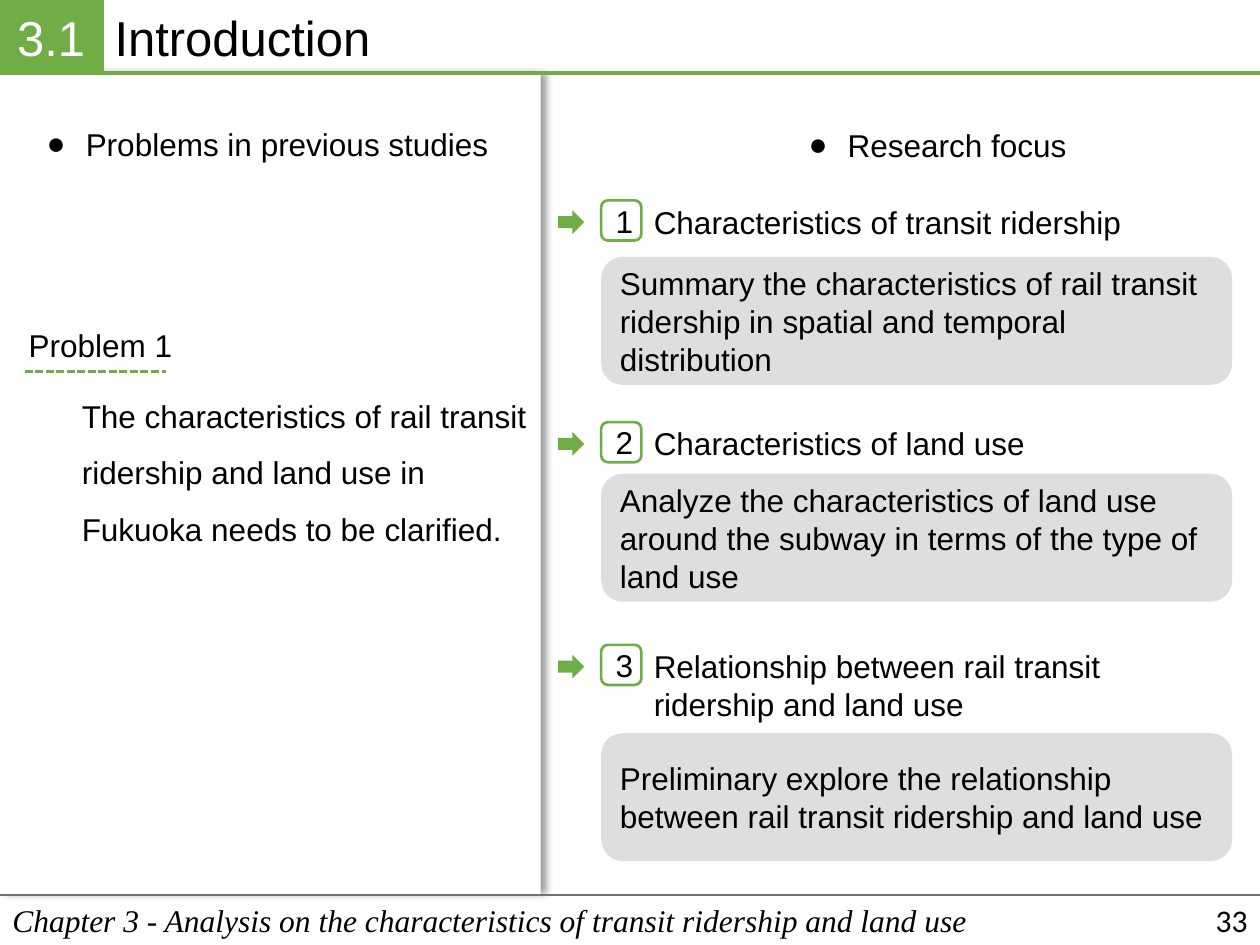
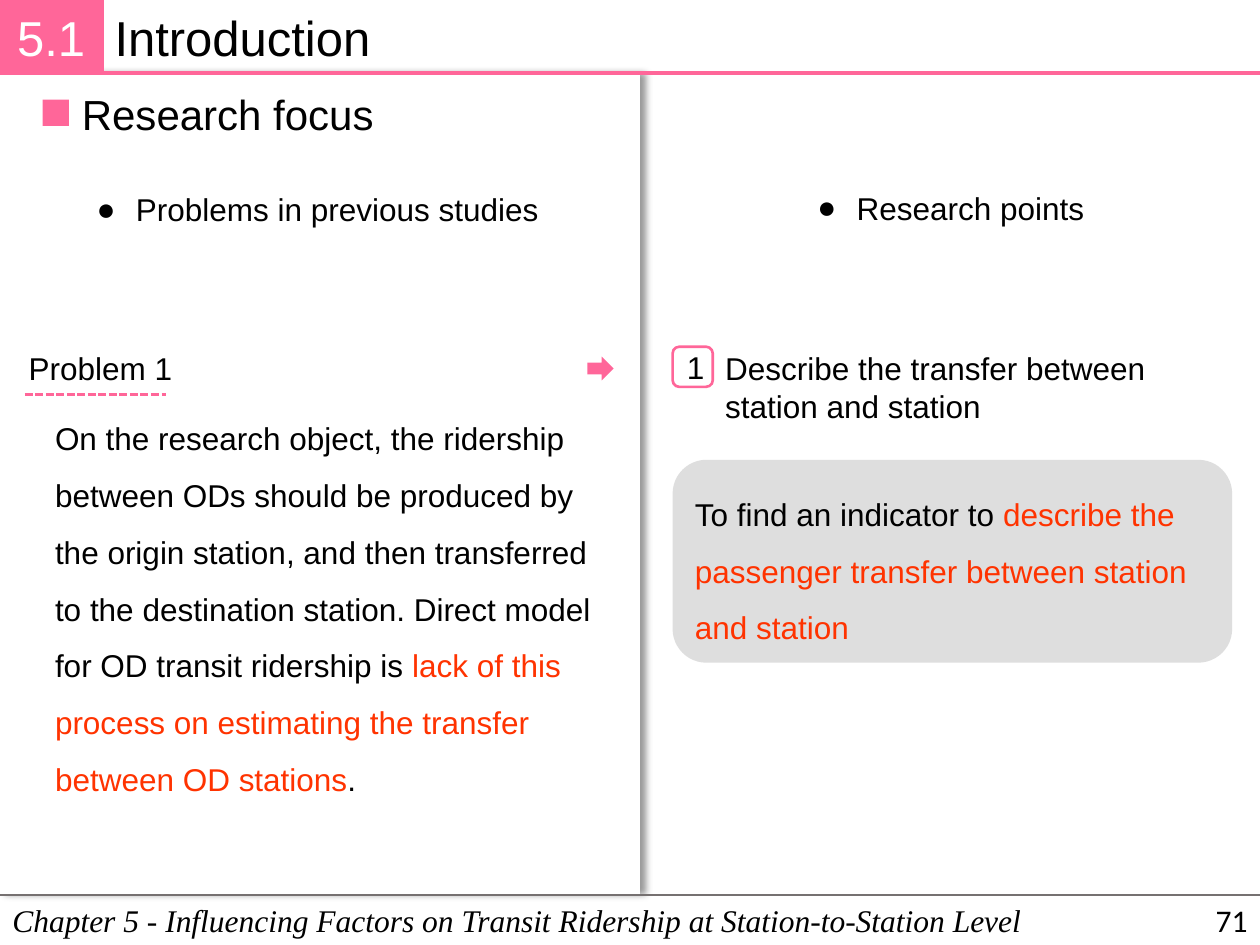
from lxml import etree
from pptx import Presentation
from pptx.dml.color import RGBColor
from pptx.enum.dml import MSO_LINE
from pptx.enum.shapes import MSO_CONNECTOR, MSO_SHAPE
from pptx.enum.text import MSO_ANCHOR, PP_ALIGN
from pptx.oxml.ns import qn
from pptx.util import Cm, Pt

RECT, ROUND, ARROW = MSO_SHAPE.RECTANGLE, MSO_SHAPE.ROUNDED_RECTANGLE, MSO_SHAPE.RIGHT_ARROW
TOP, MIDDLE = MSO_ANCHOR.TOP, MSO_ANCHOR.MIDDLE
LEFT, CENTER, RIGHT = PP_ALIGN.LEFT, PP_ALIGN.CENTER, PP_ALIGN.RIGHT
SYS_DASH = MSO_LINE.SQUARE_DOT

# Content: runs are (text, colour name); places are in cm
SLIDES = [
    {
        "accent": "green", "number": "3.1", "title": "Introduction", "page": "33",
        "footer": "Chapter 3 - Analysis on the characteristics of transit ridership and land use",
        "panel_w": 10.9,
        "section": None,
        "headings": [("Problems in previous studies", 0.69, 2.39, 9.5),
                     ("Research focus", 16.05, 2.41, 5.77)],
        "problem": {
            "label": "Problem 1", "y": 6.45, "body_x": 1.4, "body_w": 9.5, "body_h": 3.58,
            "runs": [("The characteristics of rail transit ridership and land use in "
                      "Fukuoka needs to be clarified.", "black")],
        },
        "arrow_x": 11.25, "item_x": 12.12, "box_h": 2.58, "box_spacing": 1.0,
        "items": [
            {"y": 4.04, "box_y": 5.18, "label": "Characteristics of transit ridership",
             "runs": [("Summary the characteristics of rail transit ridership in spatial "
                       "and temporal distribution", "black")]},
            {"y": 8.51, "box_y": 9.55, "label": "Characteristics of land use",
             "runs": [("Analyze the characteristics of land use around the subway in terms "
                       "of the type of land use", "black")]},
            {"y": 13.0, "box_y": 14.78,
             "label": "Relationship between rail transit ridership and land use",
             "runs": [("Preliminary explore the relationship between rail transit ridership "
                       "and land use", "black")]},
        ],
    },
    {
        "accent": "pink", "number": "5.1", "title": "Introduction", "page": "71",
        "footer": "Chapter 5 - Influencing Factors on Transit Ridership at Station-to-Station Level",
        "panel_w": 12.9,
        "section": "Research focus",
        "headings": [("Problems in previous studies", 1.7, 3.71, 9.5),
                     ("Research points", 16.23, 3.68, 5.94)],
        "problem": {
            "label": "Problem 1", "y": 6.91, "body_x": 0.86, "body_w": 11.84, "body_h": 8.2,
            "runs": [("On the research object, the ridership between ODs should be produced by "
                      "the origin station, and then transferred to the destination station. "
                      "Direct model for OD transit ridership is ", "black"),
                     ("lack of this process on estimating the transfer between OD stations",
                      "red"),
                     (".", "black")],
        },
        "arrow_x": 11.84, "item_x": 13.56, "box_h": 4.09, "box_spacing": 1.5,
        "items": [
            {"y": 6.99, "box_y": 9.27,
             "label": "Describe the transfer between station and station",
             "runs": [("To find an indicator to ", "black"),
                      ("describe the passenger transfer between station and station", "red")]},
        ],
    },
]

# Shared look
COLORS = {"green": "70AD47", "pink": "FF6699", "red": "FF3300", "black": "000000",
          "white": "FFFFFF", "gray": "7F7F7F", "rule": "767171"}
BODY = {"name": "Arial", "size": Pt(18)}
SECTION = {"name": "Arial", "size": Pt(24)}
TITLE = {"name": "Arial", "size": Pt(28)}
FOOTER = {"name": "Times New Roman", "size": Pt(18), "italic": True}
PAGE = {"name": "Calibri", "size": Pt(18)}

SLIDE_W, SLIDE_H = 25.4, 19.05
TAG_W, HEAD_H = 2.06, 1.48
FOOT_Y = 18.04
LINE_H = 1.01
BADGE = 0.81
BOX_RIGHT = 24.84
LABEL_W = 10.6
INDENT = 0.79


def rgb(name):
    return RGBColor.from_string(COLORS[name])


def write(sp, runs, font, anchor=TOP, align=LEFT, spacing=None, wrap=True, bullet=False):
    tf = sp.text_frame
    tf.word_wrap = wrap
    tf.vertical_anchor = anchor
    p = tf.paragraphs[0]
    p.alignment = align
    if spacing:
        p.line_spacing = spacing
    if bullet:
        pPr = p._p.get_or_add_pPr()
        pPr.set("marL", str(Cm(INDENT)))
        pPr.set("indent", str(-Cm(INDENT)))
        etree.SubElement(pPr, qn("a:buFont")).set("typeface", "Arial")
        etree.SubElement(pPr, qn("a:buChar")).set("char", "●")
    for text, color in runs:
        r = p.add_run()
        r.text = text
        for key, value in font.items():
            setattr(r.font, key, value)
        r.font.color.rgb = rgb(color)


def add_text(s, text, x, y, w, h, font=BODY, **fmt):
    runs = [(text, "black")] if isinstance(text, str) else text
    write(s.shapes.add_textbox(Cm(x), Cm(y), Cm(w), Cm(h)), runs, font, **fmt)


def add_box(s, kind, x, y, w, h, fill=None, line=None, width=1.5):
    sp = s.shapes.add_shape(kind, Cm(x), Cm(y), Cm(w), Cm(h))
    sp.shadow.inherit = False
    if fill:
        sp.fill.solid()
        sp.fill.fore_color.rgb = rgb(fill)
    else:
        sp.fill.background()
    if line:
        sp.line.color.rgb = rgb(line)
        sp.line.width = Pt(width)
    else:
        sp.line.fill.background()
    return sp


def add_rule(s, x1, x2, y, color, width, dash=None):
    ln = s.shapes.add_connector(MSO_CONNECTOR.STRAIGHT, Cm(x1), Cm(y), Cm(x2), Cm(y))
    ln.line.color.rgb = rgb(color)
    ln.line.width = Pt(width)
    if dash:
        ln.line.dash_style = dash
    etree.SubElement(ln._element.spPr, qn("a:effectLst"))


def set_alpha(color_element, percent):
    etree.SubElement(color_element, qn("a:alpha")).set("val", str(percent * 1000))


def add_panel(s, w):
    sp = add_box(s, RECT, 0, HEAD_H, w, FOOT_Y - HEAD_H, "white")
    effects = sp._element.spPr.find(qn("a:effectLst"))
    shadow = etree.SubElement(effects, qn("a:outerShdw"), blurRad=str(Pt(4)),
                              dist=str(Pt(3)), dir="0", algn="l", rotWithShape="0")
    black = etree.SubElement(shadow, qn("a:srgbClr"), val=COLORS["black"])
    set_alpha(black, 40)


def add_frame(s, data):
    accent = data["accent"]
    add_text(s, data["title"], TAG_W, 0.03, SLIDE_W - TAG_W, 1.45, TITLE)
    tag = add_box(s, RECT, 0, 0, TAG_W, HEAD_H, accent, accent, 2.25)
    for side in ("left", "right", "top", "bottom"):
        setattr(tag.text_frame, "margin_" + side, Cm(0.15))
    write(tag, [(data["number"], "white")], TITLE, MIDDLE, CENTER)
    add_rule(s, TAG_W, SLIDE_W, HEAD_H, accent, 2.25)
    add_text(s, data["footer"], 0, FOOT_Y, SLIDE_W, LINE_H, FOOTER)
    add_rule(s, 0, SLIDE_W, FOOT_Y, "rule", 1)
    add_text(s, data["page"], 19.69, FOOT_Y, 5.71, LINE_H, PAGE, anchor=MIDDLE, align=RIGHT)


def add_problem(s, problem, accent):
    y = problem["y"]
    body_y = y + 1.04
    add_text(s, problem["label"], 0.33, y, 3.43, LINE_H, wrap=False)
    add_rule(s, 0.5, 3.35, body_y, accent, 1.5, SYS_DASH)
    add_text(s, problem["runs"], problem["body_x"], body_y, problem["body_w"],
             problem["body_h"], spacing=1.5)


def add_item(s, data, number, item):
    x, y, accent = data["item_x"], item["y"], data["accent"]
    add_box(s, ARROW, data["arrow_x"], y + 0.2, 0.53, 0.48, accent)
    badge = add_box(s, ROUND, x, y, BADGE, BADGE, line=accent)
    write(badge, [(str(number), "black")], BODY, MIDDLE)
    add_text(s, item["label"], x + BADGE, y - 0.08, LABEL_W, LINE_H)
    box = add_box(s, ROUND, x, item["box_y"], BOX_RIGHT - x, data["box_h"], "gray")
    set_alpha(box._element.spPr.find(qn("a:solidFill"))[0], 25)
    write(box, item["runs"], BODY, MIDDLE, spacing=data["box_spacing"])


def main():
    prs = Presentation()
    prs.slide_width, prs.slide_height = Cm(SLIDE_W), Cm(SLIDE_H)
    for data in SLIDES:
        s = prs.slides.add_slide(prs.slide_layouts[6])
        add_panel(s, data["panel_w"])
        add_frame(s, data)
        # Section title with its square
        if data["section"]:
            add_box(s, RECT, 0.86, 2.01, 0.53, 0.53, data["accent"])
            add_text(s, data["section"], 1.4, 1.65, 6.45, 1.27, SECTION, wrap=False)
        # Column headings, problem on the left, numbered points on the right
        for text, x, y, w in data["headings"]:
            add_text(s, text, x, y, w, LINE_H, wrap=False, bullet=True)
        add_problem(s, data["problem"], data["accent"])
        for number, item in enumerate(data["items"], 1):
            add_item(s, data, number, item)
    prs.save("out.pptx")


if __name__ == "__main__":
    main()
